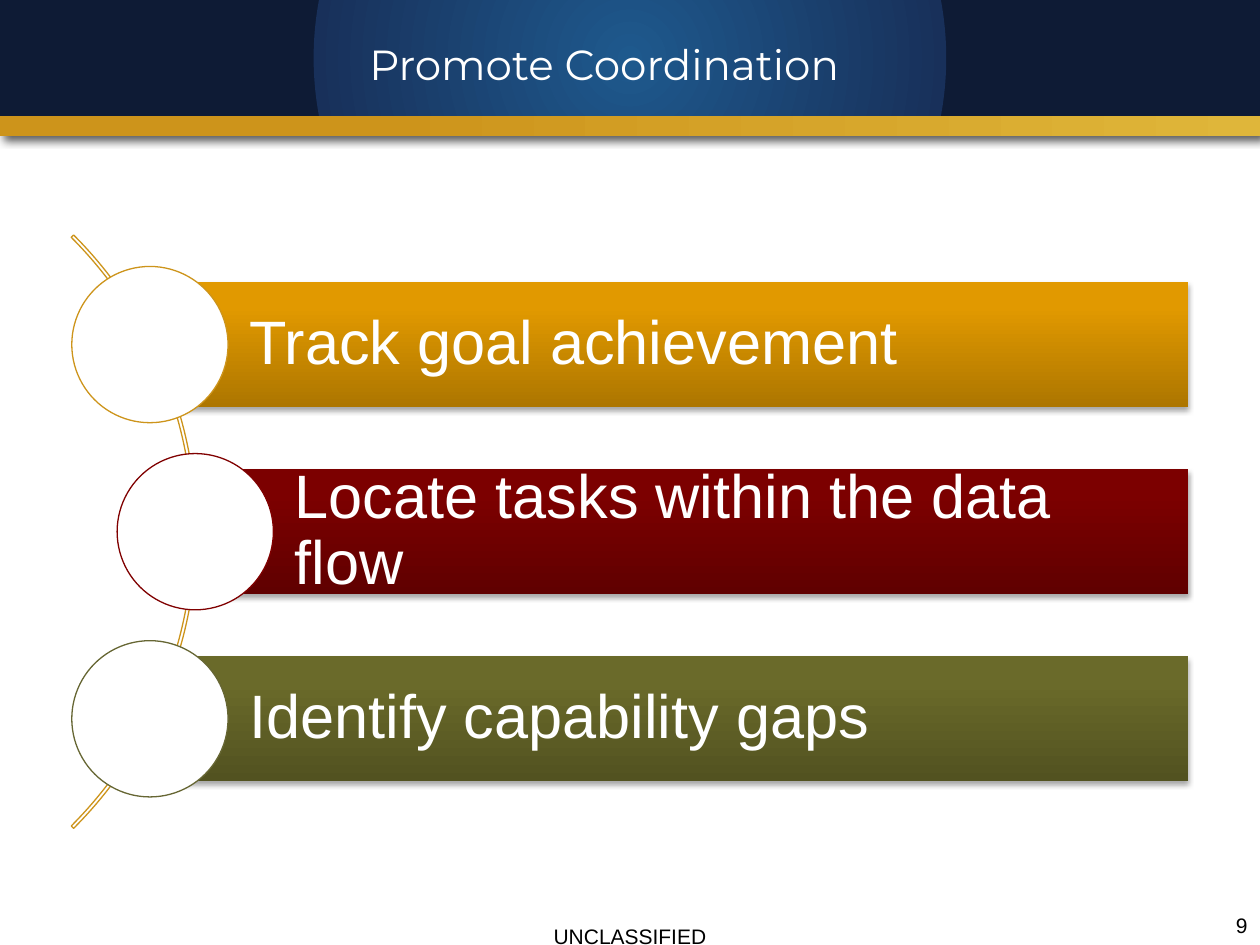
from pptx import Presentation
from pptx.dml.color import RGBColor
from pptx.enum.shapes import MSO_SHAPE
from pptx.enum.text import MSO_ANCHOR, PP_ALIGN
from pptx.oxml import parse_xml
from pptx.oxml.ns import nsdecls
from pptx.util import Inches, Pt

RECTANGLE, OVAL, ARC = MSO_SHAPE.RECTANGLE, MSO_SHAPE.OVAL, MSO_SHAPE.BLOCK_ARC
TOP, MIDDLE = MSO_ANCHOR.TOP, MSO_ANCHOR.MIDDLE
LEFT, CENTER, RIGHT = PP_ALIGN.LEFT, PP_ALIGN.CENTER, PP_ALIGN.RIGHT
RADIAL = (
    '<a:path path="circle"><a:fillToRect l="50000" t="50000" '
    'r="50000" b="50000"/></a:path>'
)
GOLD = "CD941B"


def color(value):
    return RGBColor.from_string(value)


def apply(target, values):
    for name, value in values.items():
        setattr(target, name, value)


class SlideBuilder:
    text_color = "000000"
    font_name = "Arial"
    line_width = Pt(0.75)

    def __init__(self, slide):
        self.slide = slide

    def shape(self, kind, box, fill=None, line=None):
        shape = self.slide.shapes.add_shape(kind, *map(Inches, box))
        shape.shadow.inherit = False
        if fill:
            shape.fill.solid()
            shape.fill.fore_color.rgb = color(fill)
        else:
            shape.fill.background()
        if line:
            shape.line.color.rgb = color(line)
            shape.line.width = self.line_width
        else:
            shape.line.fill.background()
        return shape

    def gradient_bar(self, box, stops, angle=None):
        shape = self.shape(RECTANGLE, box)
        direction = RADIAL if angle is None else f'<a:lin ang="{angle * 60000}" scaled="0"/>'
        stop_xml = "".join(
            f'<a:gs pos="{position * 1000}"><a:srgbClr val="{value}"/></a:gs>'
            for position, value in stops
        )
        gradient = parse_xml(
            f'<a:gradFill {nsdecls("a")} rotWithShape="1">'
            f"<a:gsLst>{stop_xml}</a:gsLst>{direction}</a:gradFill>"
        )
        properties = shape._element.spPr
        properties.replace(properties.find("{*}noFill"), gradient)
        return shape

    def shadow(self, shape, opacity, blur, distance, angle):
        effects = shape._element.spPr.find("{*}effectLst")
        effects.append(parse_xml(
            f'<a:outerShdw {nsdecls("a")} blurRad="{Pt(blur)}" dist="{Pt(distance)}" '
            f'dir="{angle * 60000}" rotWithShape="0"><a:srgbClr val="000000">'
            f'<a:alpha val="{opacity * 1000}"/></a:srgbClr></a:outerShdw>'
        ))

    def add_text(self, shape, text, size, align, anchor=MIDDLE, font=None, ink=None, **frame):
        apply(shape.text_frame, {"word_wrap": True, "vertical_anchor": anchor, **frame})
        paragraph = shape.text_frame.paragraphs[0]
        paragraph.alignment = align
        run = paragraph.add_run()
        run.text = text
        apply(run.font, {"name": font or self.font_name, "size": Pt(size)})
        run.font.color.rgb = color(ink or self.text_color)
        return paragraph

    def text_box(self, box, text, size, align, **style):
        shape = self.slide.shapes.add_textbox(*map(Inches, box))
        return self.add_text(shape, text, size, align, **style)

    def header(self):
        stripe = self.gradient_bar(
            (0, 0.83, 10, 0.25), [(0, "DFB63A"), (70, GOLD), (100, GOLD)], 180
        )
        self.shadow(stripe, 64, 5, 3, 45)
        self.gradient_bar(
            (0, 0, 10, 0.92), [(0, "1E598D"), (50, "18305A"), (50, "0E1B35")]
        )

    def arc(self, box, adjustments):
        shape = self.shape(ARC, box, line=GOLD)
        for index, value in enumerate(adjustments):
            shape.adjustments[index] = value

    def goal(self, left, top, text, shades, outline):
        right, height, diameter = 9.43, 0.99, 1.24
        bar = self.gradient_bar(
            (left, top, right - left, height), list(zip((0, 80, 100), shades)), 270
        )
        self.shadow(bar, 35, 3.1, 1.8, 90)
        margins = dict.fromkeys(("margin_top", "margin_right", "margin_bottom"), Inches(0.1))
        paragraph = self.add_text(
            bar, text, 35, LEFT, ink="FFFFFF", margin_left=Inches(0.79), **margins
        )
        paragraph.line_spacing = 0.9
        circle_top = top + (height - diameter) / 2
        self.shape(
            OVAL, (left - diameter / 2, circle_top, diameter, diameter), "FFFFFF", outline
        )


def main():
    presentation = Presentation()
    presentation.slide_width = Inches(10)
    presentation.slide_height = Inches(7.5)
    builder = SlideBuilder(presentation.slides.add_slide(presentation.slide_layouts[6]))

    builder.header()
    builder.text_box((3.79, 7.28, 2.42, 0.3), "UNCLASSIFIED", 12, CENTER, anchor=TOP)
    builder.arc((-5.1, 0.89, 6.66, 6.66), (189, 27, 0.004))
    goals = [
        (1.19, "Track goal achievement", ("AD7600", "E19900", "E29A00"), GOLD),
        (1.55, "Locate tasks within the data flow", ("600000", "7C0000", "7D0000"), "800000"),
        (1.19, "Identify capability gaps", ("525220", "6A6A2A", "6C6C29"), "666633"),
    ]
    first_top, last_top = 2.24, 5.21
    pitch = (last_top - first_top) / (len(goals) - 1)
    for index, (left, text, shades, outline) in enumerate(goals):
        builder.goal(left, first_top + index * pitch, text, shades, outline)
    builder.text_box(
        (1.42, 0.17, 6.75, 0.67), "Promote Coordination", 24, CENTER,
        font="Montserrat", ink="FFFFFF",
    )
    builder.text_box((9.42, 7.18, 0.58, 0.32), "9", 12, RIGHT)

    presentation.save("out.pptx")


if __name__ == "__main__":
    main()
